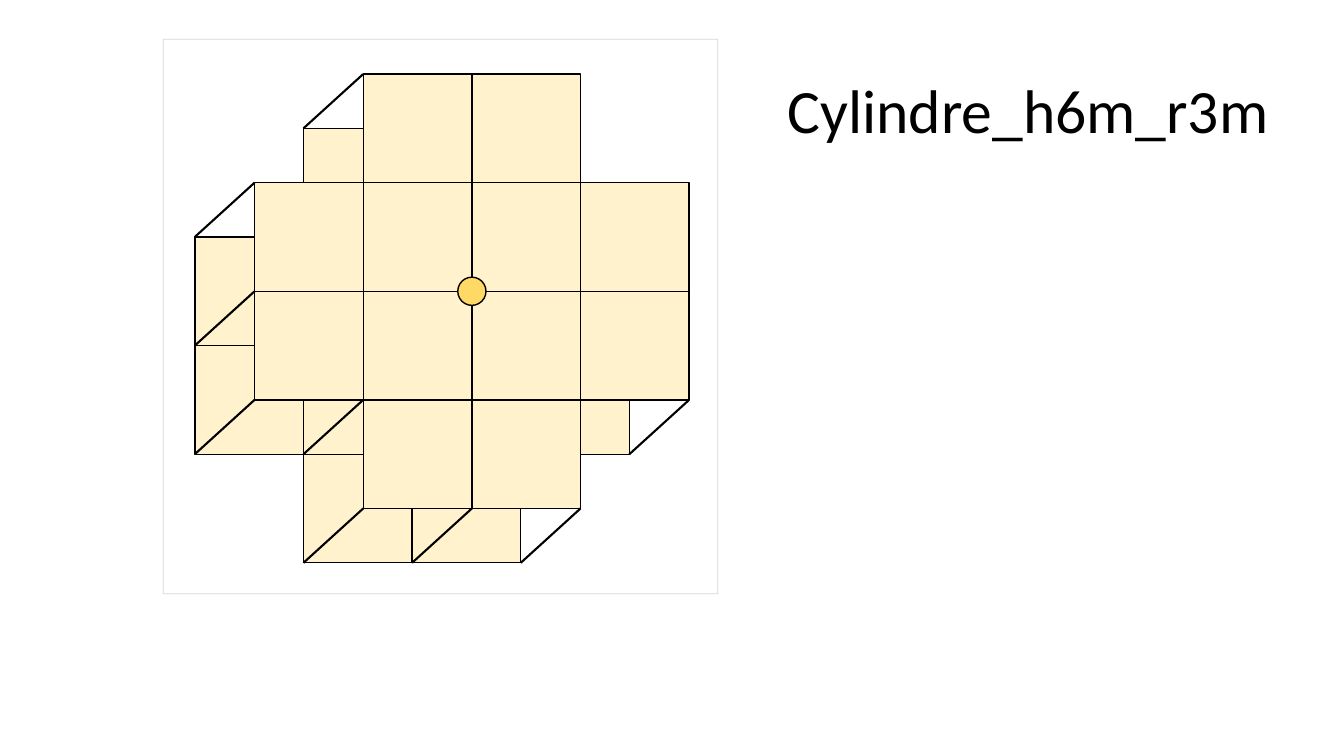
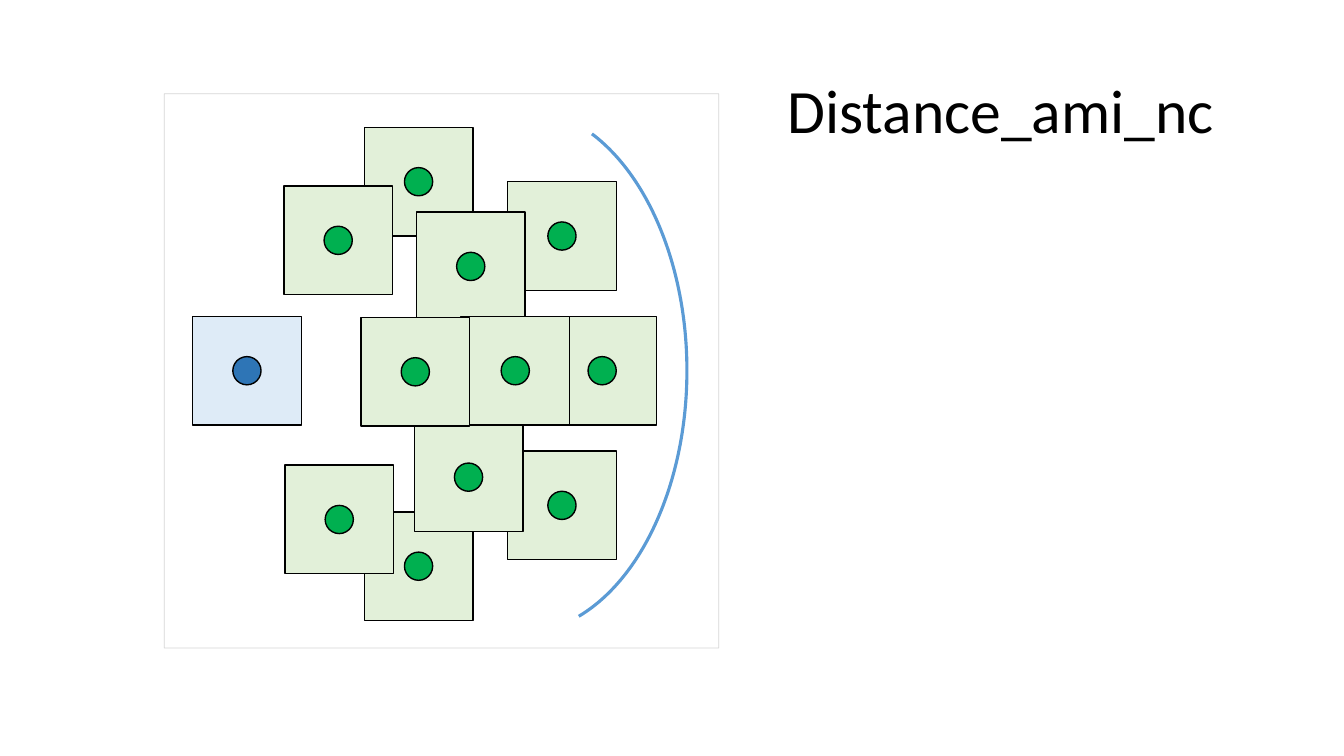
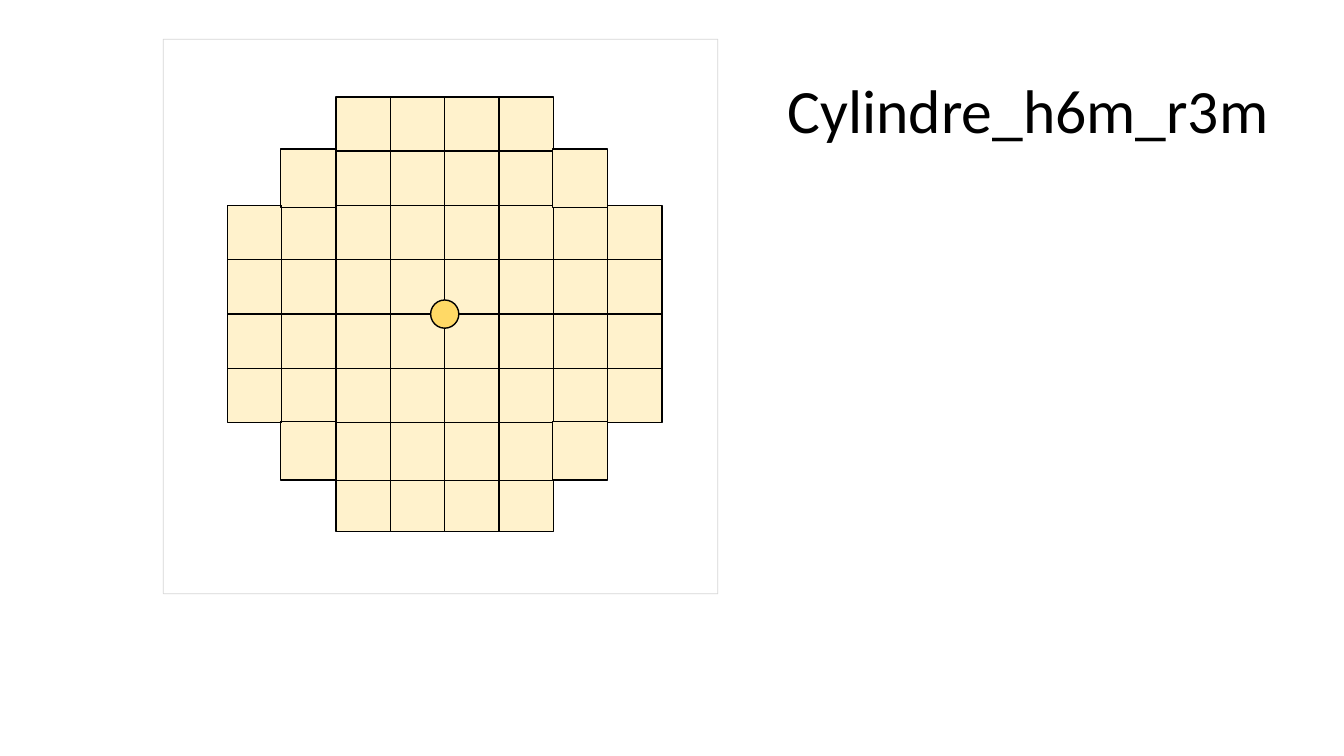
from dataclasses import dataclass
from itertools import product

from lxml.etree import SubElement
from pptx import Presentation
from pptx.dml.color import RGBColor
from pptx.enum.shapes import MSO_CONNECTOR, MSO_SHAPE
from pptx.enum.text import MSO_ANCHOR, PP_ALIGN
from pptx.oxml.ns import qn
from pptx.util import Inches, Pt

BLACK, FRAME_GREY, ARC_BLUE = "000000", "A6A6A6", "5B9BD5"
CYLINDER = ("FFF2CC", "FFD966")
SELF = ("DEEBF7", "2E75B6")
FRIEND = ("E2F0D9", "00B050")

PANEL = 5.5
CROSS = 4.31
TILE = CROSS / 4
DOT = 0.28
CROSS_CELLS = [(col, row) for row, col in product(range(4), repeat=2)
               if col in (1, 2) or row in (1, 2)]


@dataclass
class Grid:
    """A grid of tiles whose corner lies at left, top in inches."""
    left: float
    top: float

    def at(self, col, row):
        """Return the point at a column and row, in inches."""
        return self.left + col * TILE, self.top + row * TILE

    def moved(self, col, row):
        """Return the grid that starts at a column and row of this one."""
        return Grid(*self.at(col, row))


def rgb(value):
    """Turn a hex string into a colour."""
    return RGBColor.from_string(value)


def add_outline(shapes, kind, point, size, line, weight, fill=None):
    """Add a preset shape with its line and an optional fill."""
    shape = shapes.add_shape(kind, *map(Inches, (*point, *size)))
    shape.shadow.inherit = False
    if fill:
        shape.fill.solid()
        shape.fill.fore_color.rgb = rgb(fill)
    else:
        shape.fill.background()
    shape.line.color.rgb = rgb(line)
    shape.line.width = Pt(weight)
    return shape


def add_tile(shapes, grid, col, row, fill, width=1, height=1):
    """Add a tile, sized in grid units."""
    add_outline(shapes, MSO_SHAPE.RECTANGLE, grid.at(col, row),
                (width * TILE, height * TILE), BLACK, 1, fill)


def add_dot(shapes, grid, col, row, fill):
    """Add a round marker centred on a grid point."""
    x, y = grid.at(col, row)
    add_outline(shapes, MSO_SHAPE.OVAL, (x - DOT / 2, y - DOT / 2),
                (DOT, DOT), BLACK, 1, fill)


def add_edge(slide, start, end, weight):
    """Add a straight black line between two points."""
    edge = slide.shapes.add_connector(
        MSO_CONNECTOR.STRAIGHT, *map(Inches, (*start, *end)))
    edge.line.color.rgb = rgb(BLACK)
    edge.line.width = Pt(weight)
    SubElement(edge._element.spPr, qn("a:effectLst"))


def add_cross(slide, grid):
    """Add a four by four block of tiles without its corners."""
    for col, row in CROSS_CELLS:
        add_tile(slide.shapes, grid, col, row, CYLINDER[0])


def start_slide(deck, heading, left, top, heading_width):
    """Add a titled slide with its framed panel; return it and its grid."""
    slide = deck.slides.add_slide(deck.slide_layouts[5])
    title = slide.shapes.title
    title.left, title.top = Inches(7.71), Inches(0.4)
    title.width, title.height = Inches(heading_width), Inches(1.45)
    title.text_frame.vertical_anchor = MSO_ANCHOR.MIDDLE
    title.text_frame.word_wrap = True
    paragraph = title.text_frame.paragraphs[0]
    paragraph.alignment = PP_ALIGN.LEFT
    paragraph.line_spacing = 0.9
    run = paragraph.add_run()
    run.text = heading
    run.font.name, run.font.size = "Calibri", Pt(44)
    run.font.color.rgb = rgb(BLACK)

    frame = add_outline(slide.shapes, MSO_SHAPE.RECTANGLE, (left, top),
                        (PANEL, PANEL), FRAME_GREY, 0.5)
    colour = frame.line._ln.find(".//" + qn("a:srgbClr"))
    SubElement(colour, qn("a:alpha"), val="45000")
    return slide, Grid(left, top)


def build_solid_cylinder(deck):
    """Build the cylinder seen in depth: two crosses joined by edges."""
    slide, panel = start_slide(deck, "Cylindre_h6m_r3m", 1.62, 0.39, 5.17)
    front = panel.moved(0.84, 0.32)
    rear = front.moved(-0.55, 0.5)
    add_cross(slide, rear)
    add_cross(slide, front)
    add_dot(slide.shapes, front, 2, 2, CYLINDER[1])
    for corner in ((0, 1), (0, 2), (0, 3), (1, 0), (1, 3),
                   (1, 4), (2, 4), (3, 4), (4, 3)):
        add_edge(slide, rear.at(*corner), front.at(*corner), 1.5)


def add_token(slide, panel, col, row, colours):
    """Add a grouped tile and centre marker."""
    token = slide.shapes.add_group_shape()
    add_tile(token.shapes, panel, col, row, colours[0])
    add_dot(token.shapes, panel, col + 0.5, row + 0.5, colours[1])


def build_friend_distance(deck):
    """Build the tokens spread in front of the range arc."""
    slide, panel = start_slide(deck, "Distance_ami_nc", 1.63, 0.93, 4.7)
    add_token(slide, panel, 0.26, 2.05, SELF)
    reach = add_outline(slide.shapes, MSO_SHAPE.ARC, panel.at(1.72, 0.13),
                        (3.09 * TILE, 4.84 * TILE), ARC_BLUE, 2.25)
    reach.adjustments[0], reach.adjustments[1] = 172.26, 45.8
    for col, row in ((3.53, 2.05), (3.16, 0.81), (3.16, 3.29), (1.84, 3.85),
                     (1.84, 0.31), (2.3, 3.03), (2.32, 1.09), (2.73, 2.05),
                     (1.81, 2.06), (1.11, 3.42), (1.1, 0.85)):
        add_token(slide, panel, col, row, FRIEND)


def build_flat_cylinder(deck):
    """Build the cylinder seen from above, split into half tiles."""
    slide, panel = start_slide(deck, "Cylindre_h6m_r3m", 1.62, 0.39, 5.17)
    disc = panel.moved(0.59, 0.53)
    add_cross(slide, disc)
    add_dot(slide.shapes, disc, 2, 2, CYLINDER[1])
    for col, row in product((0.49, 2.99), (0.48, 2.99)):
        add_tile(slide.shapes, disc, col, row, CYLINDER[0], 0.51, 0.54)
    for row, first, last in ((0.5, 1, 3), (1.5, 0, 4), (2.5, 0, 4), (3.53, 1, 3)):
        add_edge(slide, disc.at(first, row), disc.at(last, row), 1)
    for col, first, last in ((0.5, 1, 3), (1.5, 0, 4), (2.5, 0, 4), (3.5, 1, 3)):
        add_edge(slide, disc.at(col, first), disc.at(col, last), 1)


def main():
    """Build and save the three slides."""
    deck = Presentation()
    deck.slide_width, deck.slide_height = Inches(13.33), Inches(7.5)
    build_solid_cylinder(deck)
    build_friend_distance(deck)
    build_flat_cylinder(deck)
    deck.save("out.pptx")


main()
